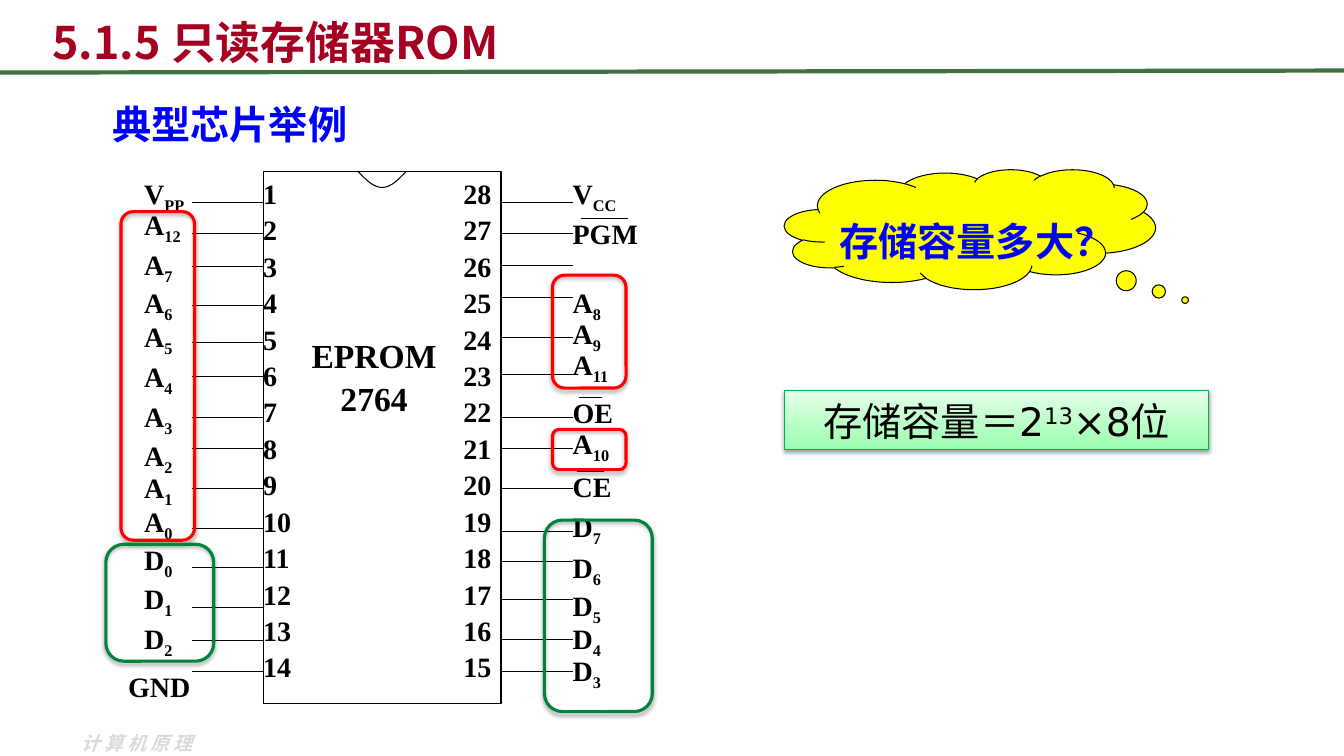
import math
from dataclasses import dataclass

from lxml import etree
from pptx import Presentation
from pptx.dml.color import RGBColor
from pptx.enum import shapes, text
from pptx.oxml import parse_xml
from pptx.oxml.ns import nsdecls, qn
from pptx.util import Inches, Pt


@dataclass(frozen=True)
class Theme:
    black: str = "000000"
    white: str = "FFFFFF"
    title: str = "A50021"
    rule: str = "3F7141"
    blue: str = "0000FF"
    yellow: str = "FFFF00"
    address: str = "FF0000"
    data: str = "00843C"
    result_line: str = "00B04E"
    result_top: str = "E4FFE9"
    result_bottom: str = "9BFDAF"
    footer: str = "D9D9D9"
    cjk: str = "Noto Sans CJK SC"
    serif: str = "Times New Roman"
    sans: str = "DejaVu Sans"
    title_size: float = 32
    body_size: float = 28
    chip_size: float = 24
    pin_size: float = 20
    footer_size: float = 13.5
    thin: float = 0.75
    frame: float = 2.25
    rule_width: float = 3


T = Theme()
LEFT, CENTER = text.PP_ALIGN.LEFT, text.PP_ALIGN.CENTER
TOP, MIDDLE, BOTTOM = text.MSO_ANCHOR.TOP, text.MSO_ANCHOR.MIDDLE, text.MSO_ANCHOR.BOTTOM
PIN_INSETS = (0, 0.05)
LEAD = 0.71

# name, subscript, label top, lead height; heights run from the top of the chip
LEFT_PINS = [
    ("V", "PP", 0, 0.31), ("A", "12", 0.31, 0.62), ("A", "7", 0.71, 0.94),
    ("A", "6", 1.08, 1.33), ("A", "5", 1.42, 1.7), ("A", "4", 1.82, 2.04),
    ("A", "3", 2.21, 2.44), ("A", "2", 2.6, 2.75), ("A", "1", 2.92, 3.15),
    ("A", "0", 3.26, 3.54), ("D", "0", 3.63, 3.93), ("D", "1", 4.02, 4.33),
    ("D", "2", 4.42, 4.65), ("GND", "", 4.89, 4.96),
]
RIGHT_PINS = [
    ("V", "CC", 0, 0.31), ("PGM", "", 0.4, 0.62), ("", "", 0, 0.93),
    ("A", "8", 1.08, 1.25), ("A", "9", 1.39, 1.65), ("A", "11", 1.7, 2.02),
    ("OE", "", 2.17, 2.44), ("A", "10", 2.48, 2.75), ("CE", "", 2.91, 3.15),
    ("D", "7", 3.31, 3.57), ("D", "6", 3.71, 3.87), ("D", "5", 4.09, 4.25),
    ("D", "4", 4.42, 4.64), ("D", "3", 4.73, 4.96),
]
# start and end of each bar, from the left of its label
OVERBARS = {"PGM": (0.08, 0.55), "OE": (0.06, 0.29), "CE": (0.04, 0.31)}
# offset from the chip corner, size and colour
PIN_GROUPS = [
    (-1.41, 0.4, 0.73, 3.26, T.address), (2.87, 1.03, 0.73, 1.12, T.address),
    (2.87, 2.56, 0.73, 0.4, T.address), (-1.56, 3.7, 1.07, 1.16, T.data),
    (2.79, 3.46, 1.07, 1.9, T.data),
]


def rgb(value):
    return RGBColor.from_string(value)


def write(sp, paragraphs, font, size, color, bold=True, align=CENTER, anchor=TOP,
          insets=(0.1, 0.05), gap=0, wrap=True, spacing=None):
    """Fill a shape with paragraphs, each a list of (text, baseline percent) runs."""
    tf = sp.text_frame
    tf.word_wrap = wrap
    tf.vertical_anchor = anchor
    tf.margin_left = tf.margin_right = Inches(insets[0])
    tf.margin_top = tf.margin_bottom = Inches(insets[1])
    for i, runs in enumerate(paragraphs):
        p = tf.add_paragraph() if i else tf.paragraphs[0]
        p.alignment = align
        p.space_before = Pt(gap if i else 0)
        if spacing:
            p.line_spacing = spacing
        p.font.name, p.font.size, p.font.bold = font, Pt(size), bold
        p.font.color.rgb = rgb(color)
        for words, baseline in runs:
            r = p.add_run()
            r.text = words
            r_pr = r._r.get_or_add_rPr()
            etree.SubElement(r_pr, qn("a:ea")).set("typeface", T.cjk)
            if baseline:
                r_pr.set("baseline", str(baseline * 1000))
    return tf


def add_text(s, box, paragraphs, *args, **kwargs):
    return write(s.shapes.add_textbox(*map(Inches, box)), paragraphs, *args, **kwargs)


def add_line(s, x1, y1, x2, y2, color=T.black, width=T.thin):
    line = s.shapes.add_connector(shapes.MSO_CONNECTOR.STRAIGHT, *map(Inches, (x1, y1, x2, y2)))
    line.line.color.rgb, line.line.width = rgb(color), Pt(width)
    etree.SubElement(line._element.spPr, qn("a:effectLst"))


def style(sp, line, width=T.thin, fill=None):
    sp.shadow.inherit = False
    sp.line.color.rgb, sp.line.width = rgb(line), Pt(width)
    if fill:
        sp.fill.solid()
        sp.fill.fore_color.rgb = rgb(fill)
    else:
        sp.fill.background()


def add_shape(s, kind, box, *args, **kwargs):
    sp = s.shapes.add_shape(kind, *map(Inches, box))
    style(sp, *args, **kwargs)
    return sp


def drop_shadow(sp, alpha):
    sp._element.spPr.find(qn("a:effectLst")).append(parse_xml(
        f'<a:outerShdw {nsdecls("a")} blurRad="{Pt(3.1)}" dist="{Pt(1.8)}" dir="5400000" '
        f'rotWithShape="0"><a:srgbClr val="{T.black}"><a:alpha val="{alpha * 1000}"/>'
        '</a:srgbClr></a:outerShdw>'))


def header(s, x, y, w, h):
    add_line(s, x, y + 0.72, x + w, y + 0.7, T.rule, T.rule_width)
    add_text(s, (x + 0.42, y, 12, h), [[("5.1.5 只读存储器ROM", 0)]], T.cjk, T.title_size,
             T.title, align=LEFT, anchor=BOTTOM)


def footer(s, *box):
    tf = add_text(s, box, [[("计算机原理", 0)]], T.cjk, T.footer_size, T.footer, align=LEFT)
    tf.paragraphs[0].font.italic = True
    tf.paragraphs[0].runs[0]._r.get_or_add_rPr().set("spc", "300")


def notch(s, x, y, w, depth, steps=24):
    points = [(Inches(x + w * i / steps), Inches(y + depth * math.sin(math.pi * i / steps)))
              for i in range(steps + 1)]
    builder = s.shapes.build_freeform(*points[0])
    builder.add_line_segments(points[1:], close=False)
    style(builder.convert_to_shape(), T.black)


def pins(s, rows, label_x, lead_x, y):
    for name, sub, label_y, lead_y in rows:
        add_line(s, lead_x, y + lead_y, lead_x + LEAD, y + lead_y)
        if not name:
            continue
        x = label_x - 0.16 if name == "GND" else label_x
        runs = [(name, 0)] + ([(sub, -25)] if sub else [])
        add_text(s, (x, y + label_y, 0.7, 0.47), [runs], T.serif, T.pin_size, T.black,
                 align=LEFT, insets=PIN_INSETS, wrap=False)
        if name in OVERBARS:
            start, end = OVERBARS[name]
            add_line(s, x + start, y + label_y + 0.07, x + end, y + label_y + 0.07)


def chip(s, x, y, w, h):
    """Draw the chip body in the box, with pins and pin groups around it."""
    add_shape(s, shapes.MSO_SHAPE.RECTANGLE, (x, y, w, h), T.black, fill=T.white)
    notch(s, x + 0.94, y, 0.48, 0.16)
    add_text(s, (x + 0.31, y + 1.57, 1.58, 0.77), [[("EPROM", 0)], [("2764", 0)]],
             T.serif, T.chip_size, T.black, gap=2.4)
    for left, numbers, align in ((x, range(1, 15), LEFT),
                                 (x + w - 0.47, range(28, 14, -1), CENTER)):
        add_text(s, (left, y, 0.47, h), [[(str(n), 0)] for n in numbers], T.serif,
                 T.pin_size, T.black, align=align, insets=PIN_INSETS, gap=2)
    pins(s, LEFT_PINS, x - 1.18, x - LEAD, y)
    pins(s, RIGHT_PINS, x + w + LEAD, x + w, y)
    for dx, dy, gw, gh, color in PIN_GROUPS:
        frame = add_shape(s, shapes.MSO_SHAPE.ROUNDED_RECTANGLE, (x + dx, y + dy, gw, gh),
                          color, T.frame)
        drop_shadow(frame, 35)


def question(s, *box):
    sp = add_shape(s, shapes.MSO_SHAPE.CLOUD_CALLOUT, box, T.black, fill=T.yellow)
    sp.adjustments[0], sp.adjustments[1] = 0.58, 0.59
    write(sp, [[("存储容量多大？", 0)]], T.cjk, T.body_size, T.blue, anchor=MIDDLE,
          insets=PIN_INSETS, spacing=1.6)


def answer(s, *box):
    sp = add_shape(s, shapes.MSO_SHAPE.RECTANGLE, box, T.result_line)
    sp.fill.gradient()
    sp.fill.gradient_angle = 270
    for stop, color in zip(sp.fill.gradient_stops, (T.result_top, T.result_bottom)):
        stop.color.rgb = rgb(color)
    drop_shadow(sp, 38)
    write(sp, [[("存储容量＝2", 0), ("13", 30), ("×8位", 0)]], T.sans, T.body_size, T.black,
          bold=False, spacing=1.05)


def main():
    prs = Presentation()
    prs.slide_width, prs.slide_height = Inches(13.33), Inches(7.5)
    s = prs.slides.add_slide(prs.slide_layouts[6])
    footer(s, 0.71, 7.21, 1.46, 0.34)
    header(s, 0, 0, 13.33, 0.73)
    add_text(s, (1, 0.95, 2.56, 0.57), [[("典型芯片举例", 0)]], T.cjk, T.body_size, T.blue,
             wrap=False)
    chip(s, 2.61, 1.7, 2.36, 5.28)
    question(s, 7.78, 1.68, 3.68, 1.19)
    answer(s, 7.78, 3.87, 4.21, 0.59)
    prs.save("out.pptx")


if __name__ == "__main__":
    main()
